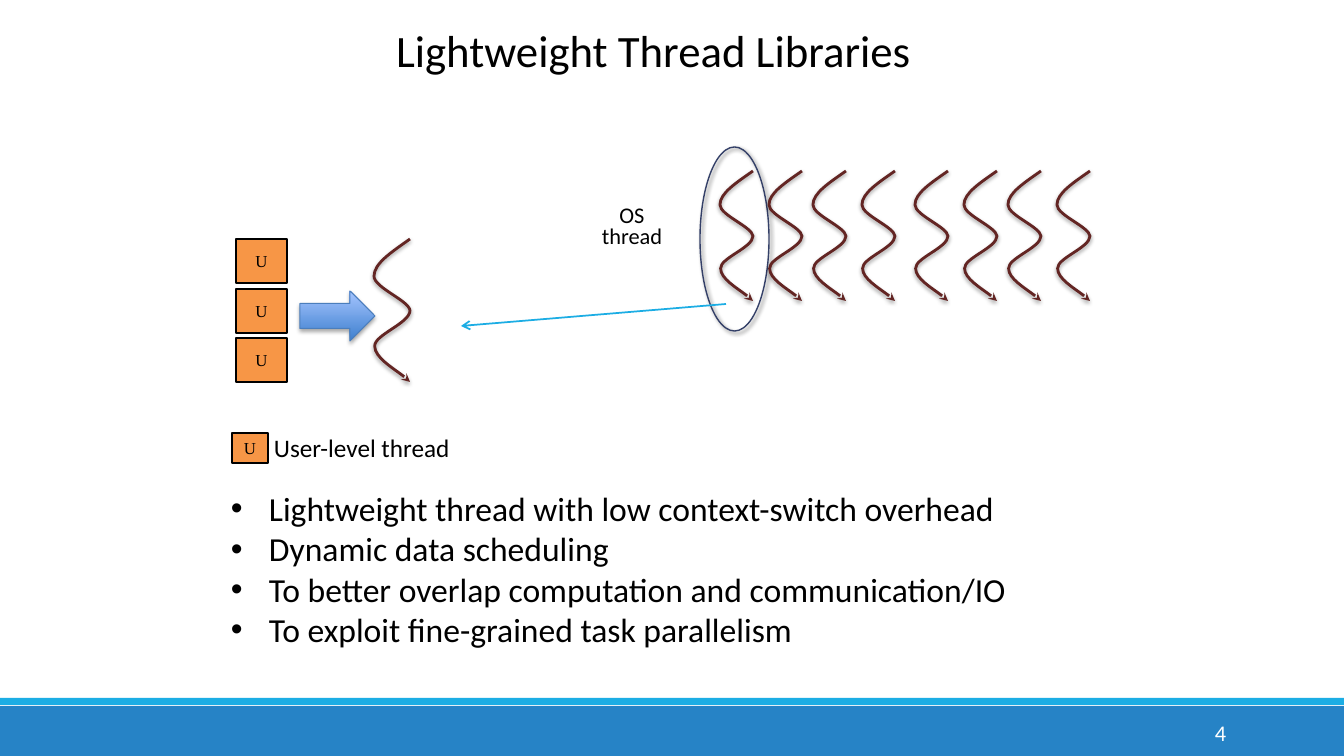
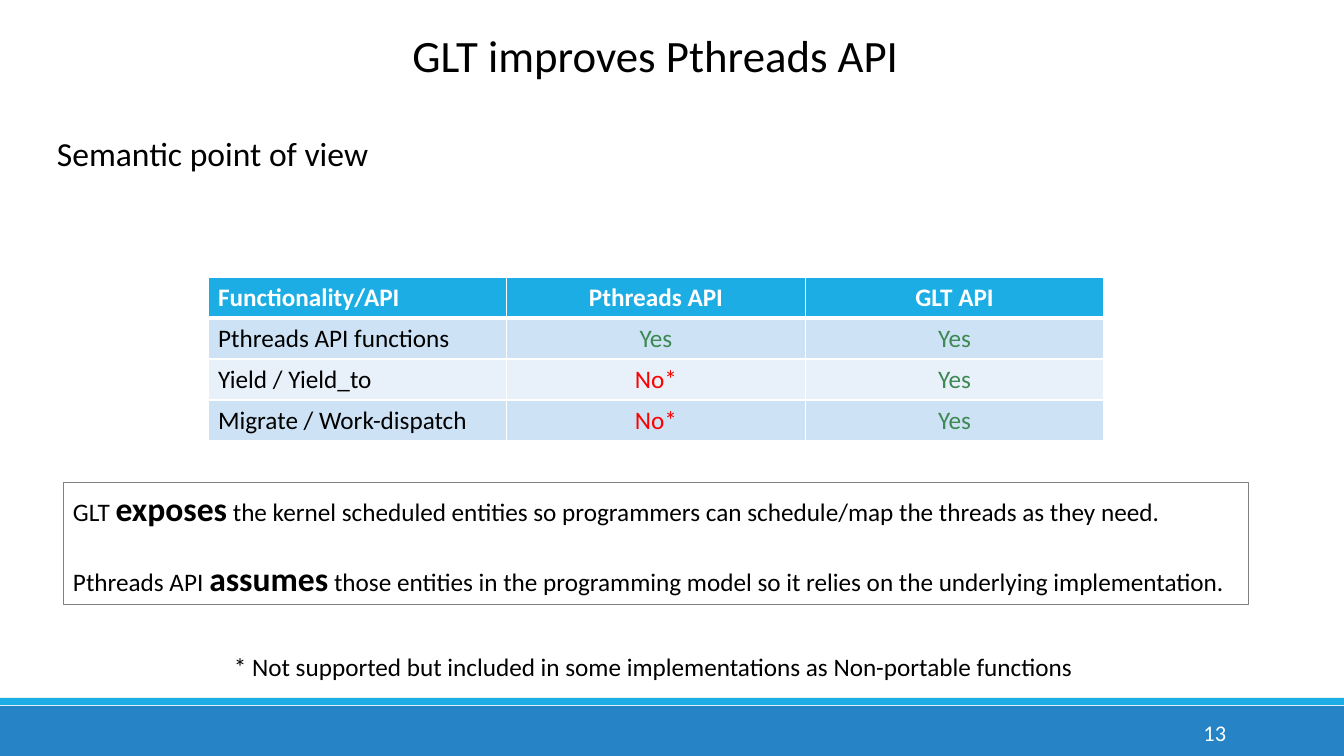
from lxml.etree import SubElement
from pptx import Presentation
from pptx.dml.color import RGBColor
from pptx.enum.shapes import MSO_CONNECTOR, MSO_SHAPE
from pptx.enum.text import MSO_ANCHOR, PP_ALIGN
from pptx.oxml.ns import qn
from pptx.util import Emu, Pt

SCALE = 12192000 / 1344
BLACK, WHITE = "000000", "FFFFFF"
BLUE, SKY = "2683C6", "1CADE4"
ORANGE, MAROON, NAVY = "F79646", "632523", "344068"
GREEN, RED, GREY = "3E8853", "FF0000", "808080"
LEFT, CENTER, RIGHT = PP_ALIGN.LEFT, PP_ALIGN.CENTER, PP_ALIGN.RIGHT
color = RGBColor.from_string


def px(*lengths):
    return [Emu(round(length * SCALE)) for length in lengths]


def write(paragraph, text, size=18, ink=BLACK, align=LEFT, font="Calibri", bold=False):
    paragraph.text = text
    paragraph.alignment = align
    for span in paragraph.runs:
        span.font.name = font
        span.font.size = Pt(size)
        span.font.bold = bold
        span.font.color.rgb = color(ink)


deck = Presentation()
deck.slide_width, deck.slide_height = px(1344, 756)
layout = deck.slide_layouts[5]
threads_page = deck.slides.add_slide(layout)
semantics_page = deck.slides.add_slide(layout)

for index, (top, height, fill) in enumerate([(706, 50, BLUE), (698, 7, SKY)]):
    band = threads_page.shapes.add_shape(MSO_SHAPE.RECTANGLE, *px(0, top, 1344, height))
    band.shadow.inherit = False
    band.fill.solid()
    band.fill.fore_color.rgb = color(fill)
    band.line.fill.background()
    layout.shapes.element.insert(2 + index, band.element)

for page, heading, left, top, number in [
    (threads_page, "Lightweight Thread Libraries", 191, 17, "4"),
    (semantics_page, "GLT improves Pthreads API", 193, 22, "13"),
]:
    title = page.shapes.title
    title.left, title.top, title.width, title.height = px(left, top, 925, 65)
    write(title.text_frame.paragraphs[0], heading, 32, align=CENTER)
    number_box = page.shapes.add_textbox(*px(1092, 713, 144, 40))
    number_box.text_frame.word_wrap = True
    number_box.text_frame.vertical_anchor = MSO_ANCHOR.MIDDLE
    write(number_box.text_frame.paragraphs[0], number, 16, WHITE, RIGHT)

for page, text, area, size, align, spacing in [
    (threads_page, "OS\nthread", (573, 201, 118, 72), 16, CENTER, 0.8),
    (threads_page, "User-level thread", (264, 427, 219, 40), 18, LEFT, 1.0),
    (semantics_page, "Semantic point of view", (47, 128, 335, 50), 24, LEFT, 1.0),
    (semantics_page, "* Not supported but included in some implementations as Non-portable functions",
     (224, 646, 864, 40), 18, LEFT, 1.0),
]:
    box = page.shapes.add_textbox(*px(*area))
    box.text_frame.word_wrap = True
    write(box.text_frame.paragraphs[0], text, size, align=align)
    box.text_frame.paragraphs[0].line_spacing = spacing

for area in [(236, 239, 51, 44), (236, 289, 51, 44), (236, 338, 51, 44), (232, 433, 36, 30)]:
    user_thread = threads_page.shapes.add_shape(MSO_SHAPE.RECTANGLE, *px(*area))
    user_thread.shadow.inherit = False
    user_thread.fill.solid()
    user_thread.fill.fore_color.rgb = color(ORANGE)
    user_thread.line.color.rgb = color(BLACK)
    user_thread.line.width = Pt(1)
    frame = user_thread.text_frame
    frame.margin_top = frame.margin_bottom = 0
    frame.word_wrap = False
    frame.vertical_anchor = MSO_ANCHOR.MIDDLE
    write(frame.paragraphs[0], "U", 12, align=CENTER, font="Times New Roman")

block_arrow = threads_page.shapes.add_shape(MSO_SHAPE.RIGHT_ARROW, *px(300, 291, 75, 50))
block_arrow.fill.gradient()
block_arrow.fill.gradient_angle = 90
for stop, shade in zip(block_arrow.fill.gradient_stops, ("3F80CE", "A4C4FF")):
    stop.color.rgb = color(shade)
block_arrow.line.color.rgb = color("4B7EBC")
block_arrow.line.width = Pt(0.75)

ellipse = threads_page.shapes.add_shape(MSO_SHAPE.OVAL, *px(700, 147, 69, 184))
ellipse.fill.background()
ellipse.line.color.rgb = color(NAVY)
ellipse.line.width = Pt(1)

shadowed = [(block_arrow, 35, 3.1, 1.8, 90), (ellipse, 60, 3, 2, 45)]

curve_points = [
    (0.5, 0.09), (0, 0.17), (0, 0.26),
    (0, 0.34), (0.97, 0.43), (1, 0.5),
    (1, 0.59), (0, 0.67), (0.02, 0.75),
    (0.02, 0.83), (0.83, 0.95), (1, 1),
]
waves = [(374, 239, 36, 143)]
waves += [(start + offset, 171, 33, 130) for start in (720, 915) for offset in (0, 49, 93, 142)]
for left, top, width, height in waves:
    builder = threads_page.shapes.build_freeform(*px(left + width, top))
    builder.add_line_segments([px(left + x * width, top + y * height) for x, y in curve_points], close=False)
    wave = builder.convert_to_shape()
    outline = next(wave.element.iter(qn("a:path")))
    segments = outline.findall(qn("a:lnTo"))
    for first in range(0, len(segments), 3):
        curve = SubElement(outline, qn("a:cubicBezTo"))
        for segment in segments[first:first + 3]:
            curve.append(segment[0])
            outline.remove(segment)
    wave.fill.background()
    wave.line.color.rgb = color(MAROON)
    wave.line.width = Pt(2)
    SubElement(wave.element.spPr.find(qn("a:ln")), qn("a:tailEnd"), type="stealth")
    shadowed.append((wave, 38, 3.1, 1.6, 90))

for shape, opacity, blur, distance, angle in shadowed:
    shape.shadow.inherit = False
    shadow = SubElement(
        shape.element.spPr.find(qn("a:effectLst")), qn("a:outerShdw"),
        blurRad=str(Pt(blur)), dist=str(Pt(distance)), dir=str(angle * 60000), rotWithShape="0")
    shade = SubElement(shadow, qn("a:srgbClr"), val=BLACK)
    SubElement(shade, qn("a:alpha"), val=str(opacity * 1000))

pointer = threads_page.shapes.add_connector(MSO_CONNECTOR.STRAIGHT, *px(726, 304, 461, 326))
pointer.line.color.rgb = color(SKY)
pointer.line.width = Pt(1.25)
SubElement(pointer.element.spPr.find(qn("a:ln")), qn("a:tailEnd"), type="arrow")
SubElement(pointer.element.spPr, qn("a:effectLst"))

benefits = [
    "Lightweight thread with low context-switch overhead",
    "Dynamic data scheduling",
    "To better overlap computation and communication/IO",
    "To exploit fine-grained task parallelism",
]
benefits_box = threads_page.shapes.add_textbox(*px(221, 483, 870, 173))
benefits_box.text_frame.word_wrap = True
benefits_box.text_frame.text = "\n".join(benefits)
indent = px(38)[0]
for para, benefit in zip(benefits_box.text_frame.paragraphs, benefits):
    properties = para._p.get_or_add_pPr()
    properties.set("marL", str(indent))
    properties.set("indent", str(-indent))
    SubElement(properties, qn("a:buFont"), typeface="Arial")
    SubElement(properties, qn("a:buChar"), char="•")
    write(para, benefit, 24)

rows = [
    ("Functionality/API", "Pthreads API", "GLT API"),
    ("Pthreads API functions", "Yes", "Yes"),
    ("Yield / Yield_to", "No*", "Yes"),
    ("Migrate / Work-dispatch", "No*", "Yes"),
]
fills = [SKY, "CDE3F5", "E8F1FA", "CDE3F5"]
answer_inks = {"Yes": GREEN, "No*": RED}
table = semantics_page.shapes.add_table(4, 3, *px(208, 277, 896, 164)).table
for row, (texts, fill) in enumerate(zip(rows, fills)):
    for column, text in enumerate(texts):
        cell = table.cell(row, column)
        properties = cell._tc.get_or_add_tcPr()
        for side in "LRTB":
            thick = (row, side) in [(0, "B"), (1, "T")]
            border = SubElement(properties, qn("a:ln" + side), w=str(Pt(3 if thick else 1)))
            SubElement(SubElement(border, qn("a:solidFill")), qn("a:srgbClr"), val=WHITE)
        cell.fill.solid()
        cell.fill.fore_color.rgb = color(fill)
        ink = WHITE if row == 0 else answer_inks.get(text, BLACK)
        write(cell.text_frame.paragraphs[0], text, 18, ink, CENTER if column else LEFT, bold=row == 0)

summary_box = semantics_page.shapes.add_textbox(*px(63, 483, 1186, 122))
summary_box.line.color.rgb = color(GREY)
summary_box.line.width = Pt(0.75)
summary = summary_box.text_frame
summary.word_wrap = True
statements = [
    ("GLT ", "exposes",
     " the kernel scheduled entities so programmers can schedule/map the threads as they need."),
    ("Pthreads API ", "assumes",
     " those entities in the programming model so it relies on the underlying implementation."),
]
for para, pieces in zip((summary.paragraphs[0], summary.add_paragraph()), statements):
    for piece, size in zip(pieces, (18, 24, 18)):
        span = para.add_run()
        span.text = piece
        span.font.name = "Calibri"
        span.font.size = Pt(size)
        span.font.bold = size == 24
        span.font.color.rgb = color(BLACK)
summary.paragraphs[1].space_before = Pt(21.5)

deck.save("out.pptx")
